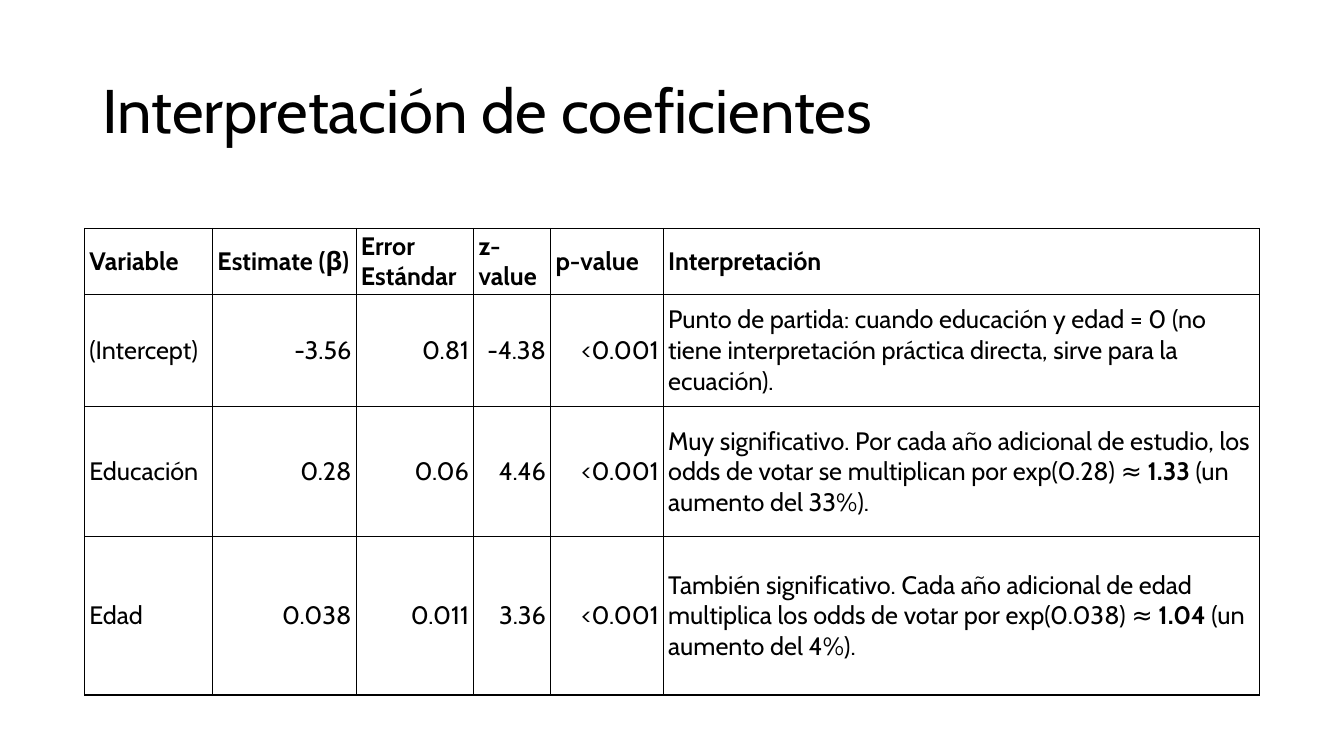
from lxml import etree
from pptx import Presentation
from pptx.dml.color import RGBColor
from pptx.enum.text import MSO_ANCHOR, MSO_AUTO_SIZE, PP_ALIGN
from pptx.oxml.ns import qn
from pptx.util import Pt

LEFT, RIGHT = PP_ALIGN.LEFT, PP_ALIGN.RIGHT
MIDDLE = MSO_ANCHOR.MIDDLE
NO_AUTOFIT = MSO_AUTO_SIZE.NONE
TITLE_ONLY = 5

COLORS = {"text": "000000", "border": "000000", "background": "FFFFFF"}
FONT = "Cabin"

COL_WIDTHS = [91.5, 102.5, 84, 55, 80.5, 426]
ROW_HEIGHTS = [47, 80, 93, 113]
HEADERS = ["Variable", "Estimate (β)", "Error Estándar", "z-value", "p-value",
           "Interpretación"]
# Text between double asterisks is bold.
COEFFICIENTS = [
    ["(Intercept)", "-3.56", "0.81", "-4.38", "<0.001",
     "Punto de partida: cuando educación y edad = 0 (no tiene interpretación "
     "práctica directa, sirve para la ecuación)."],
    ["Educación", "0.28", "0.06", "4.46", "<0.001",
     "Muy significativo. Por cada año adicional de estudio, los odds de votar "
     "se multiplican por exp(0.28) ≈ **1.33** (un aumento del 33%)."],
    ["Edad", "0.038", "0.011", "3.36", "<0.001",
     "También significativo. Cada año adicional de edad multiplica los odds "
     "de votar por exp(0.038) ≈ **1.04** (un aumento del 4%)."],
]


def write(tf, text, size=18, bold=False, align=LEFT, spacing=1.0):
    """Fill the frame's first paragraph; **marked** parts switch the weight."""
    tf.word_wrap = True
    p = tf.paragraphs[0]
    p.alignment = align
    p.line_spacing = spacing
    for i, part in enumerate(text.split("**")):
        r = p.add_run()
        r.text = part
        r.font.name = FONT
        r.font.size = Pt(size)
        r.font.bold = bold != (i % 2 == 1)
        r.font.color.rgb = RGBColor.from_string(COLORS["text"])


def add_borders(cell, width=1):
    tcPr = cell._tc.get_or_add_tcPr()
    for i, side in enumerate(("lnL", "lnR", "lnT", "lnB")):
        ln = etree.Element(qn(f"a:{side}"), w=str(Pt(width)))
        fill = etree.SubElement(ln, qn("a:solidFill"))
        etree.SubElement(fill, qn("a:srgbClr"), val=COLORS["border"])
        tcPr.insert(i, ln)


def add_title(s, text, x, y, w, h):
    title = s.shapes.title
    title.left, title.top, title.width, title.height = map(Pt, (x, y, w, h))
    tf = title.text_frame
    tf.auto_size = NO_AUTOFIT
    tf.vertical_anchor = MIDDLE
    write(tf, text, size=44, spacing=0.9)


def format_cell(cell, text, **text_format):
    cell.fill.background()
    cell.vertical_anchor = MIDDLE
    cell.margin_left = cell.margin_right = Pt(3.4)
    cell.margin_top = cell.margin_bottom = Pt(1.7)
    write(cell.text_frame, text, **text_format)
    add_borders(cell)


def add_coefficient_table(s, x, y):
    rows = [HEADERS] + COEFFICIENTS
    frame = s.shapes.add_table(len(rows), len(HEADERS), Pt(x), Pt(y),
                               Pt(sum(COL_WIDTHS)), Pt(sum(ROW_HEIGHTS)))
    table = frame.table
    table.first_row = table.horz_banding = False
    for col, width in zip(table.columns, COL_WIDTHS):
        col.width = Pt(width)
    for row, height in zip(table.rows, ROW_HEIGHTS):
        row.height = Pt(height)
    last = len(HEADERS) - 1
    for i, values in enumerate(rows):
        for j, value in enumerate(values):
            numeric = i > 0 and 0 < j < last
            format_cell(table.cell(i, j), value, bold=i == 0,
                        align=RIGHT if numeric else LEFT)


def main():
    prs = Presentation()
    prs.slide_width, prs.slide_height = Pt(960), Pt(540)
    s = prs.slides.add_slide(prs.slide_layouts[TITLE_ONLY])
    s.background.fill.solid()
    s.background.fill.fore_color.rgb = RGBColor.from_string(COLORS["background"])
    add_title(s, "Interpretación de coeficientes", 66, 28.75, 828, 104.4)
    add_coefficient_table(s, 60.5, 163.2)
    prs.save("out.pptx")


if __name__ == "__main__":
    main()
